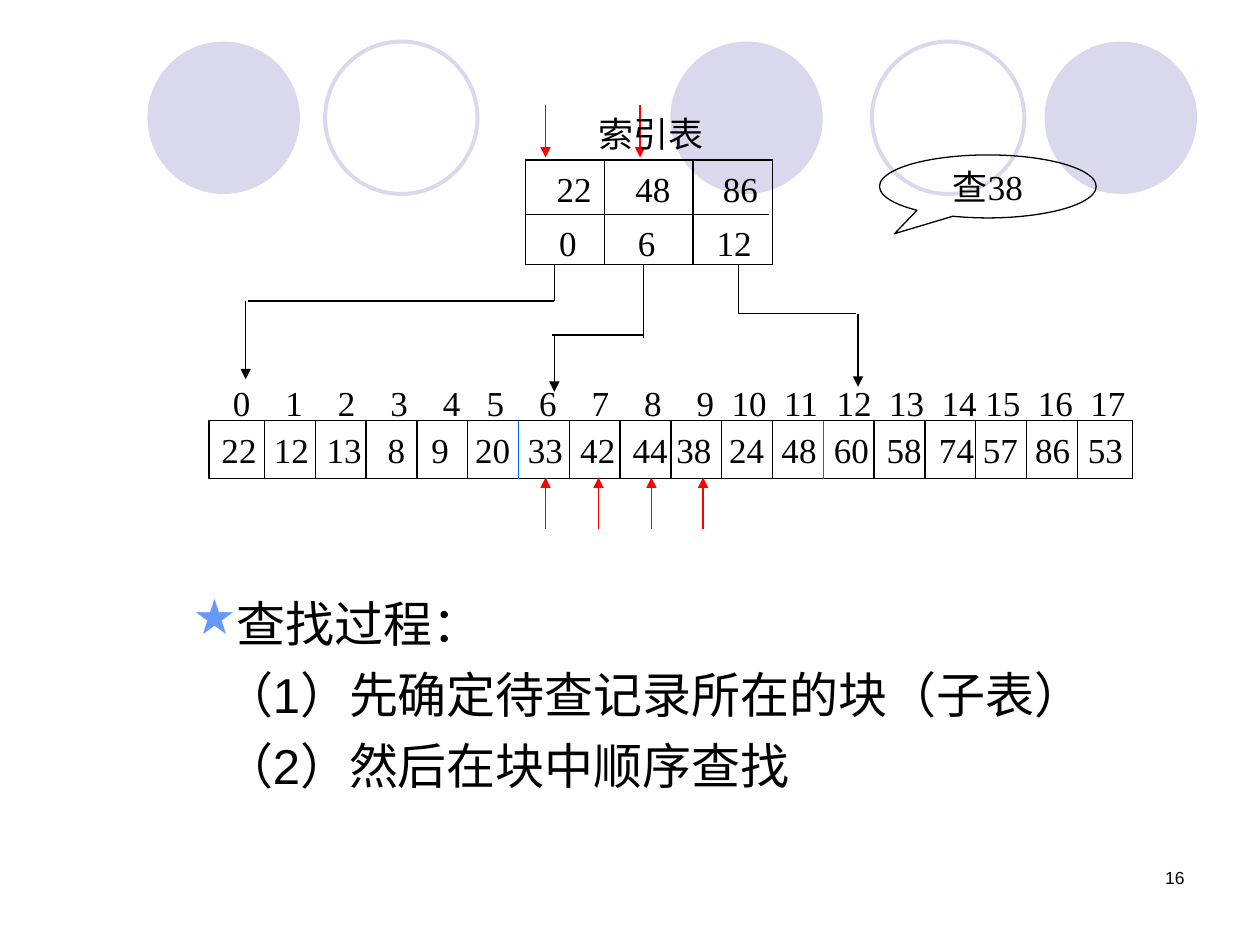
from typing import NamedTuple

from lxml.etree import SubElement
from pptx import Presentation
from pptx.dml.color import RGBColor
from pptx.enum.shapes import MSO_CONNECTOR, MSO_SHAPE
from pptx.enum.text import MSO_ANCHOR, PP_ALIGN
from pptx.oxml.ns import qn
from pptx.util import Inches, Pt

BLACK, RED, BLUE, LILAC, STAR = "000000", "FF0000", "0066FF", "D9D8EC", "6699FF"
SERIF, SANS = "Times New Roman", "Arial"


class Line(NamedTuple):
    x1: float
    y1: float
    x2: float
    y2: float
    color: str = BLACK
    arrow: bool = False


class Disc(NamedTuple):
    left: float
    solid: bool


class Row(NamedTuple):
    """Numbers and the gaps between them, counted in half digits."""
    words: str
    gaps: str


class Label(NamedTuple):
    left: float
    top: float
    width: float
    row: Row


def rgb(value: str) -> RGBColor:
    return RGBColor.from_string(value)


def add_line(shapes, item: Line):
    ends = [Inches(v) for v in item[:4]]
    line = shapes.add_connector(MSO_CONNECTOR.STRAIGHT, *ends)
    line.line.color.rgb = rgb(item.color)
    line.line.width = Pt(0.75)
    props = line._element.spPr
    if item.arrow:
        SubElement(props.find(qn("a:ln")), qn("a:tailEnd"), type="triangle")
    SubElement(props, qn("a:effectLst"))
    return line


def add_form(shapes, kind, box: tuple, fill: str = "", edge: str = "",
             weight: float = 0.75):
    form = shapes.add_shape(kind, *[Inches(v) for v in box])
    form.shadow.inherit = False
    if fill:
        form.fill.solid()
        form.fill.fore_color.rgb = rgb(fill)
    else:
        form.fill.background()
    if edge:
        form.line.color.rgb = rgb(edge)
        form.line.width = Pt(weight)
    else:
        form.line.fill.background()
    return form


def set_wrap(frame) -> None:
    """Wrap at the full width of the box, with no right margin."""
    for key, value in {"word_wrap": True, "margin_right": 0}.items():
        setattr(frame, key, value)


def add_box(shapes, box: tuple):
    frame = shapes.add_textbox(*[Inches(v) for v in box]).text_frame
    set_wrap(frame)
    return frame


def write(para, text: str, size: int = 20, face: str = SERIF,
          align=PP_ALIGN.LEFT) -> None:
    para.alignment = align
    run = para.add_run()
    run.text = text
    for key, value in {"size": Pt(size), "name": face}.items():
        setattr(run.font, key, value)
    run.font.color.rgb = rgb(BLACK)


def fill_row(frame, row: Row) -> None:
    """Set the numbers apart with tab stops worked out from the gaps."""
    para = frame.paragraphs[0]
    tabs = SubElement(para._p.get_or_add_pPr(), qn("a:tabLst"))
    words, digit, stop = row.words.split(), 10, 0
    for word, gap in zip(words, row.gaps):
        stop += digit * (len(word) + int(gap) / 2)
        SubElement(tabs, qn("a:tab"), pos=str(Pt(stop)), algn="l")
    write(para, "\t".join(words))


def add_steps(shapes) -> None:
    frame = add_box(shapes, (1.18, 4.66, 7.7, 1.7))
    steps = ("查找过程：", "（1）先确定待查记录所在的块（子表）", "（2）然后在块中顺序查找")
    for i, text in enumerate(steps):
        para = frame.add_paragraph() if i else frame.paragraphs[0]
        props = para._p.get_or_add_pPr()
        props.set("marL", str(Inches(0.5)))
        if i:
            para.space_before = Pt(7)
        else:
            props.set("indent", str(Inches(-0.25)))
            tint = SubElement(props, qn("a:buClr"))
            SubElement(tint, qn("a:srgbClr"), val=STAR)
            SubElement(props, qn("a:buChar"), char="★")
        write(para, text, 28, SANS)


DISCS = [Disc(5.32, True), Disc(8.29, True), Disc(1.17, True),
         Disc(6.92, False), Disc(2.58, False)]

DATA = Row("22 12 13 8 9 20 33 42 44 38 24 48 60 58 74 57 86 53",
           "22333222122222122")
LABELS = [
    Label(1.75, 2.98, 7.3, Row(" ".join(map(str, range(18))), "44443444422222122")),
    Label(4.32, 1.28, 1.8, Row("22 48 86", "56")),
    Label(4.34, 1.71, 1.73, Row("0 6 12", "77")),
]

LINES = [
    Line(4.17, 1.7, 6.1, 1.7),
    *[Line(x, 1.27, x, 2.1) for x in (4.8, 5.5)],
    Line(4.4, 2.1, 4.4, 2.39),
    Line(4.4, 2.39, 1.97, 2.39),
    Line(1.95, 2.39, 1.95, 3.01, arrow=True),
    Line(5.11, 2.1, 5.11, 2.68),
    Line(5.11, 2.66, 4.38, 2.66),
    Line(4.4, 2.66, 4.4, 3.11, arrow=True),
    Line(5.86, 2.1, 5.86, 2.49),
    Line(5.86, 2.49, 6.79, 2.49),
    Line(6.81, 2.49, 6.81, 3.07, arrow=True),
    *[Line(x, 0.83, x, 1.25, RED, True) for x in (4.33, 5.08)],
    *[Line(x, 4.2, x, 3.79, RED, True) for x in (4.33, 4.75, 5.17, 5.58)],
]


def main() -> None:
    deck = Presentation()
    deck.slide_width, deck.slide_height = Inches(10), Inches(7.5)
    shapes = deck.slides.add_slide(deck.slide_layouts[6]).shapes

    for disc in DISCS:
        fill, edge = (LILAC, "") if disc.solid else ("", LILAC)
        add_form(shapes, MSO_SHAPE.OVAL, (disc.left, 0.33, 1.21, 1.21),
                 fill, edge, 2.25)

    strip = add_form(shapes, MSO_SHAPE.RECTANGLE, (1.66, 3.34, 7.33, 0.46),
                     edge=BLACK)
    strip.text_frame.vertical_anchor = MSO_ANCHOR.MIDDLE
    set_wrap(strip.text_frame)
    fill_row(strip.text_frame, DATA)
    first, last, count = 2.1, 8.55, 17
    for i in range(count):
        x = first + i * (last - first) / (count - 1)
        color = BLUE if i in (5, 11) else BLACK
        line = add_line(shapes, Line(x, 3.34, x, 3.8, color))
        if i == count // 2:
            line.begin_connect(strip, 0)
            line.end_connect(strip, 2)

    add_form(shapes, MSO_SHAPE.RECTANGLE, (4.17, 1.27, 1.96, 0.83), edge=BLACK)
    for label in LABELS:
        frame = add_box(shapes, (label.left, label.top, label.width, 0.44))
        fill_row(frame, label.row)
    for item in LINES:
        add_line(shapes, item)

    head = add_box(shapes, (4.65, 0.84, 1.03, 0.44))
    write(head.paragraphs[0], "索引表")

    call = add_form(shapes, MSO_SHAPE.OVAL_CALLOUT, (6.98, 1.23, 1.72, 0.5),
                    edge=BLACK)
    call.adjustments[0], call.adjustments[1] = -0.43, 0.75
    call.text_frame.word_wrap = False
    call.text_frame.vertical_anchor = MSO_ANCHOR.MIDDLE
    write(call.text_frame.paragraphs[0], "查38", align=PP_ALIGN.CENTER)

    add_steps(shapes)
    page = add_box(shapes, (7.17, 6.83, 2.33, 0.5))
    page.margin_right = Inches(0.1)
    write(page.paragraphs[0], "16", 10, SANS, PP_ALIGN.RIGHT)
    deck.save("out.pptx")


if __name__ == "__main__":
    main()
